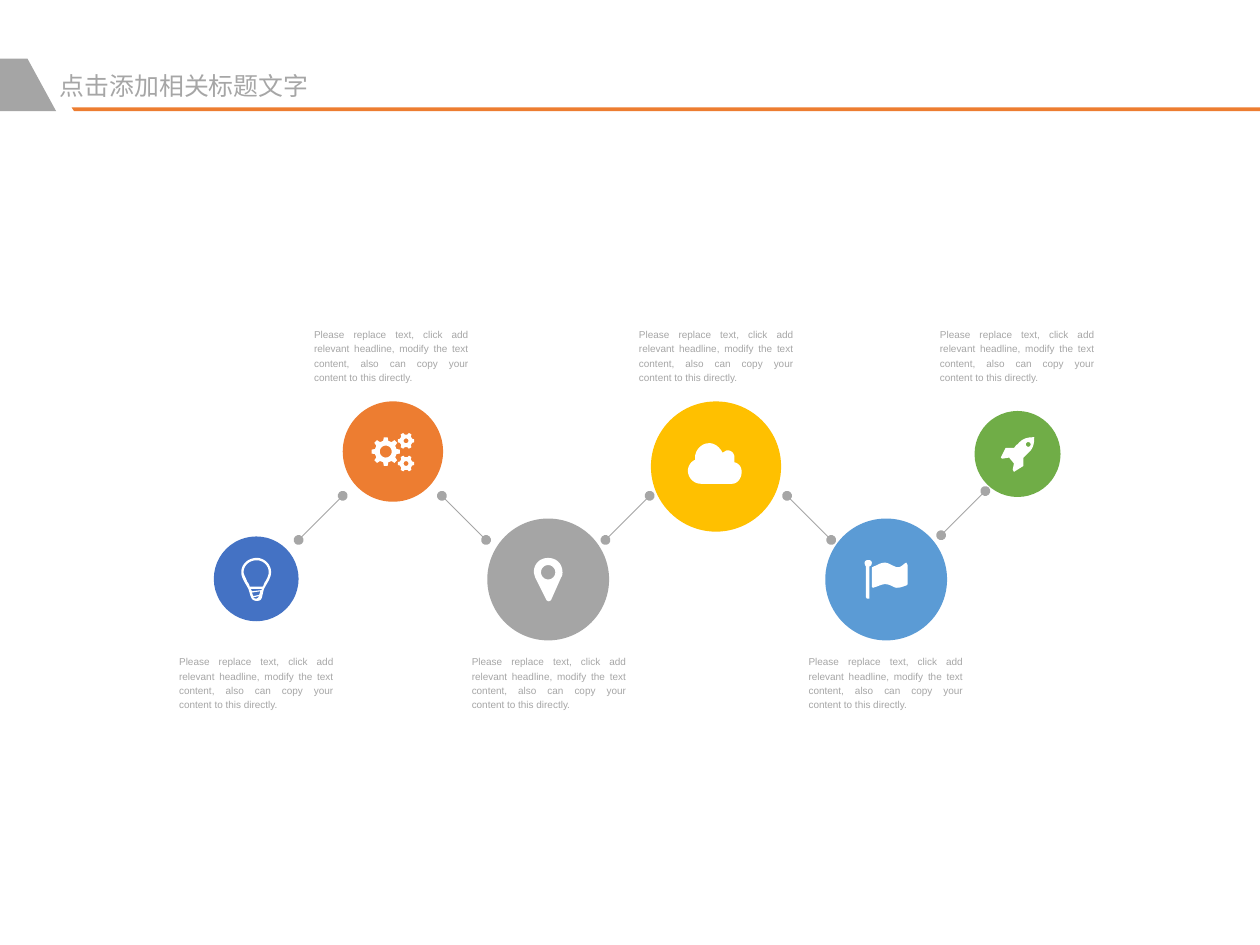
from dataclasses import dataclass
from math import cos, pi, sin

from lxml import etree
from pptx import Presentation
from pptx import util as u
from pptx.dml.color import RGBColor
from pptx.enum import shapes, text
from pptx.oxml import ns


@dataclass(frozen=True)
class Theme:
    font: str = "Arial"
    head: float = 15
    body: float = 6
    ink: str = "A6A6A6"
    grey: str = "A5A5A5"
    white: str = "FFFFFF"
    blue: str = "4472C4"
    orange: str = "ED7D31"
    gold: str = "FFC000"
    sky: str = "5B9BD5"
    green: str = "70AD47"


# Outline helpers: each returns a list of points in inches
def curve(start, *steps):
    """Pairs are straight steps, sixes are Bezier steps."""
    pts = [start]
    for step in steps:
        if len(step) == 2:
            pts.append(step)
            continue
        ctrl = [pts[-1], step[:2], step[2:4], step[4:]]
        for i in range(1, 13):
            t = i / 12
            mix = ((1 - t) ** 3, 3 * t * (1 - t) ** 2, 3 * t * t * (1 - t), t ** 3)
            pts.append(tuple(sum(m * c[k] for m, c in zip(mix, ctrl)) for k in (0, 1)))
    return pts


def polar(x, y, r, a):
    return x + r * cos(a), y + r * sin(a)


def ring(x, y, r):
    return [polar(x, y, r, i * pi / 20) for i in range(40)]


def gear(x, y, r, teeth):
    """A toothed wheel: root, tip, tip, root for each tooth."""
    pitch = 2 * pi / teeth
    tooth = ((-0.3, 0.77), (-0.17, 1), (0.17, 1), (0.3, 0.77))
    return [polar(x, y, r * k, (i + turn) * pitch)
            for i in range(teeth) for turn, k in tooth]


# Icons
BULB = [
    curve((2.15, 4.67), (2.08, 4.67, 2.02, 4.72, 2.02, 4.79),
          (2.02, 4.84, 2.06, 4.89, 2.08, 4.93), (2.1, 4.99, 2.1, 5.03, 2.15, 5.03),
          (2.2, 5.03, 2.19, 5, 2.21, 4.93), (2.23, 4.89, 2.27, 4.84, 2.27, 4.79),
          (2.27, 4.72, 2.21, 4.67, 2.15, 4.67)),
    curve((2.2, 4.91), (2.09, 4.91), (2.09, 4.9, 2.08, 4.88, 2.07, 4.87),
          (2.06, 4.84, 2.04, 4.81, 2.04, 4.79), (2.04, 4.73, 2.09, 4.69, 2.15, 4.69),
          (2.2, 4.69, 2.25, 4.73, 2.25, 4.79), (2.25, 4.81, 2.24, 4.84, 2.22, 4.87),
          (2.21, 4.88, 2.21, 4.9, 2.2, 4.91)),
    [(2.1, 4.93), (2.19, 4.93), (2.19, 4.94), (2.11, 4.95)],
    [(2.11, 4.96), (2.18, 4.95), (2.17, 4.98), (2.12, 4.99)],
    curve((2.12, 5), (2.17, 4.99), (2.16, 5.01, 2.14, 5.02, 2.12, 5)),
]
GEARS = [gear(3.23, 3.78, 0.12, 8), ring(3.23, 3.78, 0.05)]
for mid in (3.69, 3.88):
    GEARS += [gear(3.4, mid, 0.07, 6), ring(3.4, mid, 0.02)]
PIN = [
    curve((4.7, 4.83), (4.62, 5.01), (4.61, 5.04, 4.58, 5.04, 4.57, 5.01), (4.48, 4.83),
          (4.48, 4.82, 4.47, 4.8, 4.47, 4.79), (4.47, 4.72, 4.52, 4.67, 4.59, 4.67),
          (4.66, 4.67, 4.71, 4.72, 4.71, 4.79), (4.71, 4.8, 4.71, 4.82, 4.7, 4.83)),
    ring(4.59, 4.79, 0.06),
]
CLOUD = [
    curve((6.13, 4.05), (5.87, 4.05), (5.81, 4.05, 5.76, 4, 5.76, 3.94),
          (5.76, 3.9, 5.79, 3.86, 5.82, 3.85), (5.82, 3.83),
          (5.82, 3.77, 5.87, 3.71, 5.94, 3.71), (5.99, 3.71, 6.03, 3.75, 6.05, 3.79),
          (6.07, 3.78, 6.08, 3.77, 6.09, 3.77), (6.13, 3.77, 6.15, 3.8, 6.15, 3.83),
          (6.15, 3.87), (6.19, 3.88, 6.21, 3.91, 6.21, 3.95),
          (6.21, 4.01, 6.17, 4.05, 6.13, 4.05)),
]
FLAG = [
    curve((7.28, 4.74), (7.28, 5), (7.28, 5.01), (7.26, 5.01), (7.25, 5), (7.25, 4.74),
          (7.25, 4.74, 7.24, 4.73, 7.24, 4.71), (7.24, 4.68, 7.3, 4.68, 7.3, 4.71),
          (7.3, 4.73, 7.29, 4.74, 7.28, 4.74)),
    curve((7.6, 4.89), (7.59, 4.9), (7.56, 4.91, 7.54, 4.92, 7.51, 4.92),
          (7.48, 4.92, 7.46, 4.89, 7.41, 4.89), (7.38, 4.89, 7.35, 4.91, 7.31, 4.92),
          (7.3, 4.91), (7.3, 4.75), (7.32, 4.74), (7.35, 4.73, 7.37, 4.71, 7.41, 4.71),
          (7.44, 4.71, 7.46, 4.73, 7.49, 4.74), (7.54, 4.77, 7.57, 4.71, 7.59, 4.71),
          (7.6, 4.73)),
]
ROCKET = [
    curve((8.6, 3.8), (8.59, 3.81, 8.58, 3.82, 8.57, 3.83), (8.57, 3.9), (8.49, 3.95),
          (8.48, 3.93), (8.49, 3.88), (8.45, 3.83), (8.39, 3.84), (8.38, 3.83),
          (8.42, 3.75), (8.49, 3.75), (8.5, 3.74, 8.51, 3.72, 8.52, 3.72),
          (8.56, 3.67, 8.6, 3.66, 8.66, 3.66), (8.66, 3.72, 8.65, 3.76, 8.6, 3.8)),
    ring(8.61, 3.72, 0.02),
]


class Deck:
    def __init__(self, wide, high):
        self.theme = Theme()
        self.prs = Presentation()
        self.prs.slide_width, self.prs.slide_height = u.Inches(wide), u.Inches(high)
        self.slide = self.prs.slides.add_slide(self.prs.slide_layouts[5])

    def paint(self, shape, fill):
        shape.shadow.inherit = False
        shape.fill.solid()
        shape.fill.fore_color.rgb = RGBColor.from_string(fill)
        shape.line.fill.background()

    def label(self, box, words, size, frame, para):
        tf = box.text_frame
        tf.text = words
        line = tf.paragraphs[0]
        margins = dict.fromkeys(
            ("margin_left", "margin_top", "margin_right", "margin_bottom"), 0)
        face = {"name": self.theme.font, "size": u.Pt(size), "bold": False}
        for part, look in ((tf, margins | frame), (line, para), (line.font, face)):
            for key, val in look.items():
                setattr(part, key, val)
        line.font.color.rgb = RGBColor.from_string(self.theme.ink)

    def title(self, words, *place):
        box = self.slide.shapes.title
        box.left, box.top, box.width, box.height = map(u.Inches, place)
        self.label(box, words, self.theme.head,
                   {"auto_size": text.MSO_AUTO_SIZE.NONE, "word_wrap": True,
                    "vertical_anchor": text.MSO_ANCHOR.MIDDLE},
                   {"alignment": text.PP_ALIGN.LEFT, "space_before": u.Pt(0)})

    def note(self, words, *place):
        box = self.slide.shapes.add_textbox(*map(u.Inches, place))
        self.label(box, words, self.theme.body,
                   {"word_wrap": True, "auto_size": text.MSO_AUTO_SIZE.SHAPE_TO_FIT_TEXT},
                   {"alignment": text.PP_ALIGN.JUSTIFY, "line_spacing": 1.2})

    def form(self, loops, fill, home=None):
        home = home or self.slide.shapes
        # A fine grid keeps the points of small outlines apart
        grid = 10000
        fine = [[(x * grid, y * grid) for x, y in loop] for loop in loops]
        pen = home.build_freeform(*fine[0][0], scale=u.Inches(1) / grid)
        for i, loop in enumerate(fine):
            if i:
                pen.move_to(*loop[0])
            pen.add_line_segments(loop[1:], close=True)
        self.paint(pen.convert_to_shape(), fill)

    def badge(self, x, y, size, fill, icon):
        home = self.slide.shapes.add_group_shape().shapes
        disc = home.add_shape(shapes.MSO_SHAPE.OVAL, *map(u.Inches, (x, y, size, size)))
        self.paint(disc, fill)
        self.form(icon, self.theme.white, home)

    def link(self, *ends):
        wire = self.slide.shapes.add_connector(
            shapes.MSO_CONNECTOR.STRAIGHT, *map(u.Inches, ends))
        wire.line.width = u.Pt(0.5)
        wire.line.color.rgb = RGBColor.from_string(self.theme.ink)
        props = wire._element.spPr
        for tag in ("a:headEnd", "a:tailEnd"):
            etree.SubElement(props.find(ns.qn("a:ln")), ns.qn(tag), type="oval")
        etree.SubElement(props, ns.qn("a:effectLst"))


def main():
    deck = Deck(10.55, 7.91)
    hue = deck.theme

    # Heading band
    deck.title("点击添加相关标题文字", 0.5, 0.59, 2.52, 0.25)
    deck.form([[(0.6, 0.9), (10.55, 0.9), (10.55, 0.93), (0.62, 0.93)]], hue.orange)
    deck.form([[(0.23, 0.49), (0.47, 0.93), (0, 0.93), (0, 0.49)]], hue.grey)

    # Stops with captions, by turns below and above the path
    words = ("Please replace text, click add relevant headline, modify the text "
             "content, also can copy your content to this directly.")
    stops = [
        (1.79, 4.49, 0.71, hue.blue, BULB, 1.5),
        (2.87, 3.36, 0.84, hue.orange, GEARS, 2.63),
        (4.08, 4.34, 1.02, hue.grey, PIN, 3.95),
        (5.45, 3.36, 1.09, hue.gold, CLOUD, 5.35),
        (6.91, 4.34, 1.02, hue.sky, FLAG, 6.77),
        (8.16, 3.44, 0.72, hue.green, ROCKET, 7.87),
    ]
    for i, (*disc, left) in enumerate(stops):
        deck.badge(*disc)
        deck.note(words, left, 2.73 if i % 2 else 5.47, 1.29, 0.47)

    # Links, by turns rising and falling
    step = 0.37
    starts = [(2.5, 4.52), (3.7, 4.15), (5.07, 4.52), (6.59, 4.15), (7.88, 4.48)]
    for i, (x, y) in enumerate(starts):
        deck.link(x, y, x + step, y + (step if i % 2 else -step))

    deck.prs.save("out.pptx")


if __name__ == "__main__":
    main()
